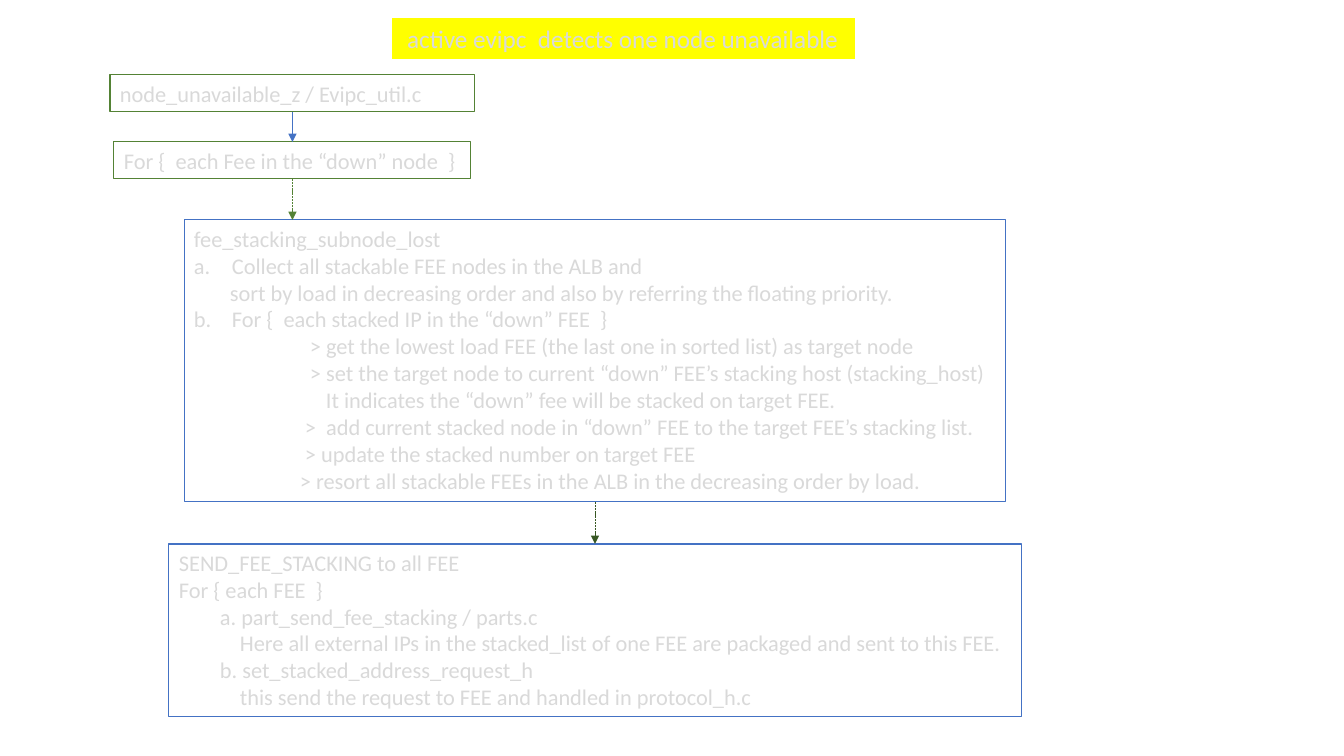
import pptx
import pptx.dml.color
import pptx.enum.dml
import pptx.enum.shapes
import pptx.enum.text
import pptx.oxml.ns
import pptx.util
import lxml.etree

PX = 914400 / 100.8
COLORS = {
    "text": "D9D9D9",
    "highlight": "FFFF00",
    "green": "548235",
    "dark_green": "385723",
    "blue": "4472C4",
}

# Each line is (left indent in px, text) or (left indent, text, list number).
NODE_LINES = [(0, "node_unavailable_z / Evipc_util.c")]
LOOP_LINES = [(0, "For {  each Fee in the “down” node  }")]
LOST_LINES = [
    (0, "fee_stacking_subnode_lost"),
    (38, "Collect all stackable FEE nodes in the ALB and", 1),
    (36, "sort by load in decreasing order and also by referring the floating priority."),
    (38, "For {  each stacked IP in the “down” FEE  }", 2),
    (116, "> get the lowest load FEE (the last one in sorted list) as target node"),
    (116, "> set the target node to current “down” FEE’s stacking host (stacking_host)"),
    (132, "It indicates the “down” fee will be stacked on target FEE."),
    (111, ">  add current stacked node in “down” FEE to the target FEE’s stacking list."),
    (111, "> update the stacked number on target FEE"),
    (106, "> resort all stackable FEEs in the ALB in the decreasing order by load."),
]
SEND_LINES = [
    (0, "SEND_FEE_STACKING to all FEE"),
    (0, "For { each FEE  }"),
    (41, "a. part_send_fee_stacking / parts.c"),
    (61, "Here all external IPs in the stacked_list of one FEE are packaged and sent to this FEE."),
    (41, "b. set_stacked_address_request_h"),
    (61, "this send the request to FEE and handled in protocol_h.c"),
]


def px(n):
    return pptx.util.Emu(round(n * PX))


def rgb(name):
    return pptx.dml.color.RGBColor.from_string(COLORS[name])


def add_child(parent, tag, **attrs):
    child = lxml.etree.SubElement(parent, pptx.oxml.ns.qn(tag))
    for key, value in attrs.items():
        child.set(key, value)


def write_lines(tf, lines, size):
    tf.word_wrap = True
    tf.auto_size = pptx.enum.text.MSO_AUTO_SIZE.NONE
    tf.vertical_anchor = pptx.enum.text.MSO_ANCHOR.TOP
    for i, (indent, text, *number) in enumerate(lines):
        p = tf.paragraphs[0] if i == 0 else tf.add_paragraph()
        p.text = text
        p.alignment = pptx.enum.text.PP_ALIGN.LEFT
        p.font.name = "Calibri"
        p.font.size = pptx.util.Pt(size)
        p.font.color.rgb = rgb("text")
        pPr = p._p.get_or_add_pPr()
        pPr.set("marL", str(px(indent)))
        pPr.set("indent", str(px(-indent if number else 0)))
        if number:
            bullet = lxml.etree.Element(pptx.oxml.ns.qn("a:buAutoNum"))
            bullet.set("type", "alphaLcPeriod")
            bullet.set("startAt", str(number[0]))
            pPr.insert_element_before(bullet, "a:tabLst", "a:defRPr", "a:extLst")


def place_title(slide, box):
    title = slide.shapes.title
    title.left, title.top, title.width, title.height = map(px, box)
    title.fill.solid()
    title.fill.fore_color.rgb = rgb("highlight")
    write_lines(title.text_frame, [(5, "active evipc  detects one node unavailable")], 18)


def add_step(slide, box, lines, color):
    sp = slide.shapes.add_shape(pptx.enum.shapes.MSO_SHAPE.RECTANGLE, *map(px, box))
    sp.shadow.inherit = False
    sp.fill.background()
    sp.line.color.rgb = rgb(color)
    sp.line.width = pptx.util.Pt(0.75)
    write_lines(sp.text_frame, lines, 16)
    return sp


def add_arrow(slide, upper, lower, color, dashed=True):
    """Points from the bottom centre of one step straight down to the next."""
    x = upper.left + upper.width // 2
    arrow = slide.shapes.add_connector(
        pptx.enum.shapes.MSO_CONNECTOR.STRAIGHT,
        x, upper.top + upper.height, x, lower.top)
    arrow.line.color.rgb = rgb(color)
    arrow.line.width = pptx.util.Pt(0.5)
    if dashed:
        arrow.line.dash_style = pptx.enum.dml.MSO_LINE.SQUARE_DOT
    add_child(arrow.line._get_or_add_ln(), "a:tailEnd", type="triangle")
    add_child(arrow._element.spPr, "a:effectLst")


def build_flow_slide(prs):
    slide = prs.slides.add_slide(prs.slide_layouts[5])
    place_title(slide, (392, 18, 463, 41))
    node = add_step(slide, (110, 75, 365, 37), NODE_LINES, "green")
    loop = add_step(slide, (114, 142, 357, 37), LOOP_LINES, "green")
    lost = add_step(slide, (184, 220, 822, 282), LOST_LINES, "blue")
    send = add_step(slide, (169, 544, 853, 173), SEND_LINES, "blue")
    add_arrow(slide, node, loop, "blue", dashed=False)
    add_arrow(slide, loop, lost, "green")
    add_arrow(slide, lost, send, "dark_green")


def main():
    prs = pptx.Presentation()
    prs.slide_width, prs.slide_height = px(1344), px(756)
    build_flow_slide(prs)
    prs.save("out.pptx")


if __name__ == "__main__":
    main()
